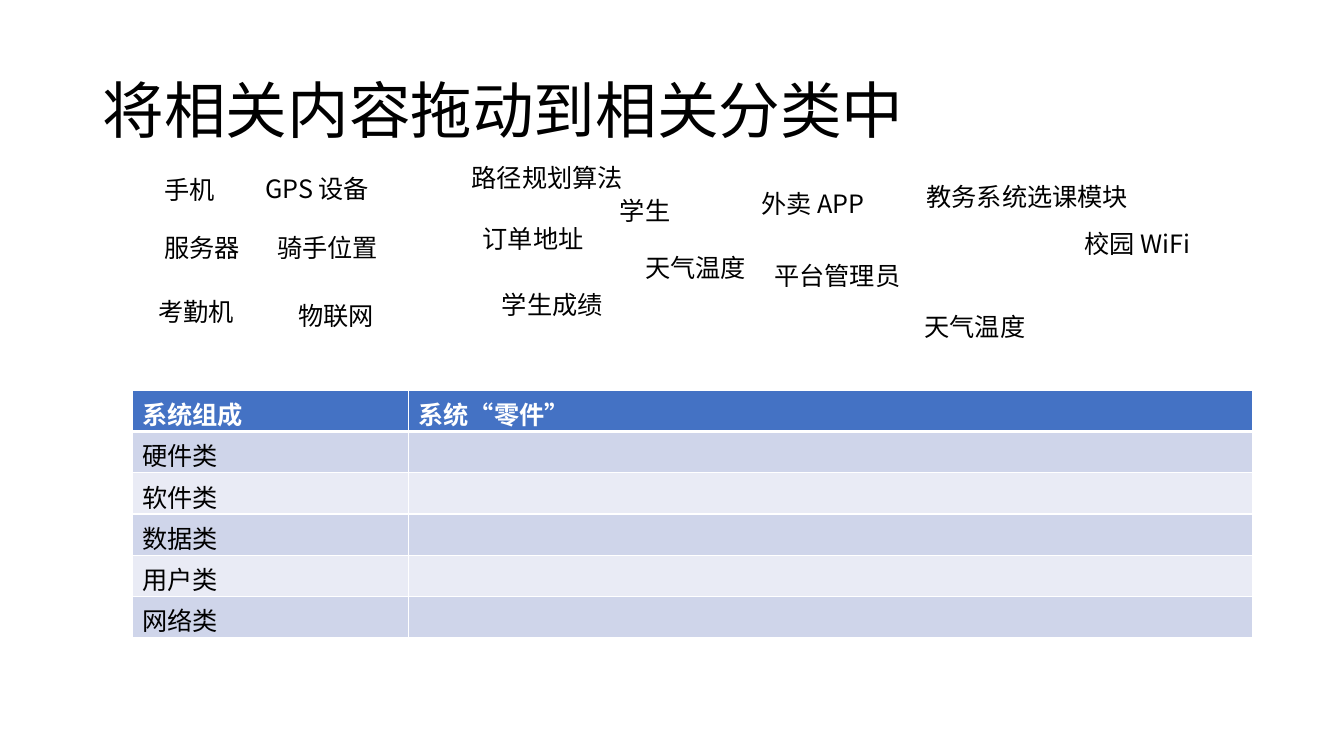
import dataclasses

import lxml.etree
import pptx
import pptx.dml.color
import pptx.enum.text
import pptx.oxml.ns
import pptx.util

EMU_PER_PX = 9144  # 100 px to the inch


@dataclasses.dataclass(frozen=True)
class Theme:
    font: str = "Noto Sans CJK SC"
    title_size: int = 44
    body_size: int = 18
    ink: str = "000000"
    paper: str = "FFFFFF"
    header: str = "4472C4"
    bands: tuple = ("CFD5EA", "E9EBF5")
    thin: int = 1
    thick: int = 3


THEME = Theme()

LABEL_HEIGHT = 40
LABELS = [  # text, left, top, width
    ("手机", 153, 168, 87),
    ("服务器", 153, 226, 120),
    ("考勤机", 147, 289, 133),
    ("GPS 设备", 253, 167, 151),
    ("外卖 APP", 745, 182, 151),
    ("教务系统选课模块", 909, 175, 263),
    ("路径规划算法", 458, 156, 187),
    ("订单地址", 469, 217, 164),
    ("学生成绩", 488, 282, 164),
    ("骑手位置", 265, 226, 128),
    ("天气温度", 630, 245, 164),
    ("天气温度", 907, 304, 155),
    ("学生", 605, 189, 128),
    ("平台管理员", 758, 253, 181),
    ("校园 WiFi", 1066, 222, 149),
    ("物联网", 286, 293, 149),
]

HEADINGS = ("系统组成", "系统“零件”")
CATEGORIES = ("硬件类", "软件类", "数据类", "用户类", "网络类")
COLUMN_WIDTHS = (274, 837)
ROW_HEIGHT = 41


def px(length):
    return pptx.util.Emu(length * EMU_PER_PX)


def rgb(code):
    return pptx.dml.color.RGBColor.from_string(code)


def write_text(frame, text, *, size=THEME.body_size, color=THEME.ink,
               bold=False, line_spacing=None):
    para = frame.paragraphs[0]
    para.line_spacing = line_spacing
    span = para.add_run()
    span.text = text
    span.font.size = pptx.util.Pt(size)
    span.font.bold = bold
    span.font.color.rgb = rgb(color)
    span.font.name = THEME.font
    east_asian = lxml.etree.SubElement(span.font._element, pptx.oxml.ns.qn("a:ea"))
    east_asian.set("typeface", THEME.font)


def add_text_box(page, left, top, width, height):
    box = page.shapes.add_textbox(px(left), px(top), px(width), px(height))
    box.text_frame.word_wrap = True
    return box.text_frame


def add_title(page, text):
    frame = add_text_box(page, 92, 40, 1150, 145)
    frame.vertical_anchor = pptx.enum.text.MSO_ANCHOR.MIDDLE
    write_text(frame, text, size=THEME.title_size, line_spacing=0.9)


def add_label(page, text, left, top, width):
    frame = add_text_box(page, left, top, width, LABEL_HEIGHT)
    frame.auto_size = pptx.enum.text.MSO_AUTO_SIZE.SHAPE_TO_FIT_TEXT
    write_text(frame, text)


def style_cell(cell, fill, **widths):
    """Draw the borders, then the fill, in the order the schema asks for."""
    properties = cell._tc.get_or_add_tcPr()
    for side in ("L", "R", "T", "B"):
        line = lxml.etree.SubElement(properties, pptx.oxml.ns.qn(f"a:ln{side}"))
        line.set("w", str(pptx.util.Pt(widths.get(side, THEME.thin))))
        solid = lxml.etree.SubElement(line, pptx.oxml.ns.qn("a:solidFill"))
        color = lxml.etree.SubElement(solid, pptx.oxml.ns.qn("a:srgbClr"))
        color.set("val", THEME.paper)
    cell.fill.solid()
    cell.fill.fore_color.rgb = rgb(fill)


def add_category_table(page):
    row_count = len(CATEGORIES) + 1
    table = page.shapes.add_table(
        row_count, len(COLUMN_WIDTHS), px(131), px(387),
        px(sum(COLUMN_WIDTHS)), px(ROW_HEIGHT * row_count)).table
    for column, width in zip(table.columns, COLUMN_WIDTHS):
        column.width = px(width)
    for cell, heading in zip(table.rows[0].cells, HEADINGS):
        style_cell(cell, THEME.header, B=THEME.thick)
        write_text(cell.text_frame, heading, color=THEME.paper, bold=True)
    for index, category in enumerate(CATEGORIES):
        cells = list(table.rows[index + 1].cells)
        top = THEME.thick if index == 0 else THEME.thin
        for cell in cells:
            style_cell(cell, THEME.bands[index % 2], T=top)
        write_text(cells[0].text_frame, category)


def main():
    deck = pptx.Presentation()
    deck.slide_width, deck.slide_height = px(1333), px(750)
    page = deck.slides.add_slide(deck.slide_layouts[6])
    add_title(page, "将相关内容拖动到相关分类中")
    add_category_table(page)
    for label in LABELS:
        add_label(page, *label)
    deck.save("out.pptx")


if __name__ == "__main__":
    main()
